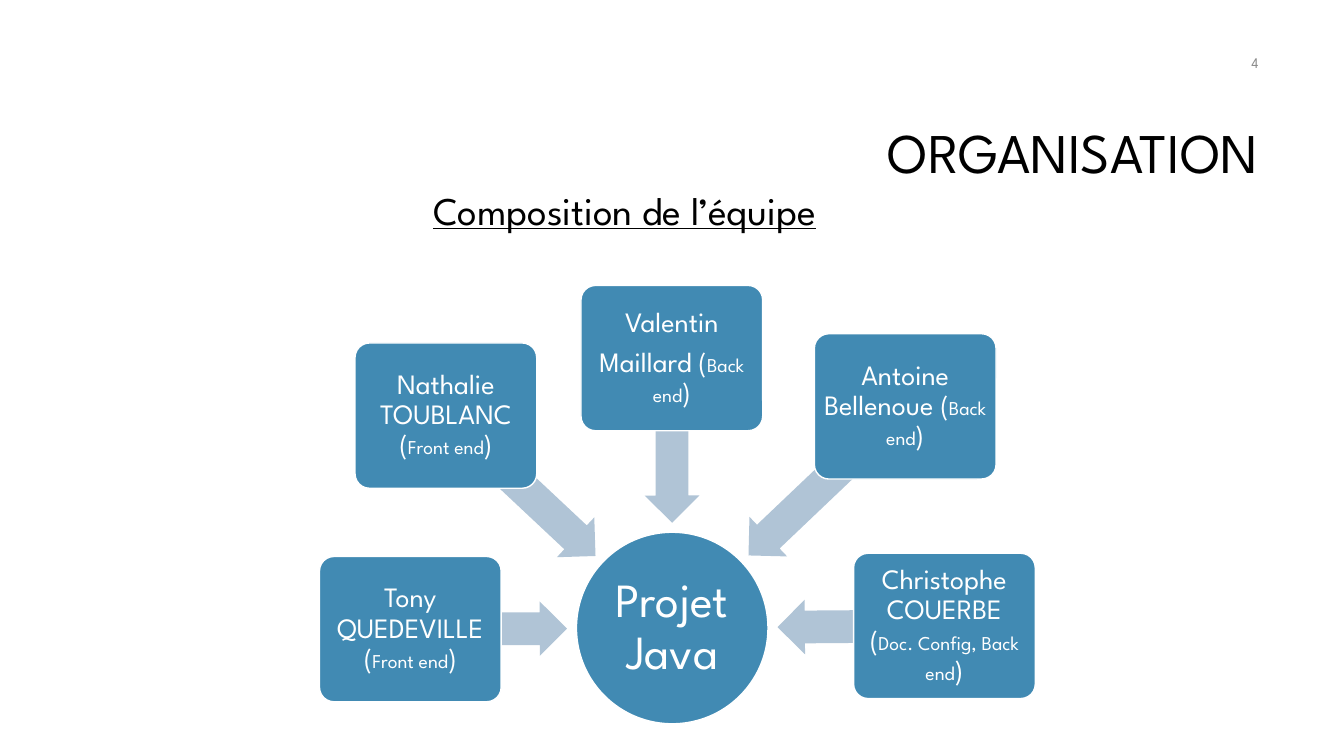
from math import atan2, degrees, hypot

from pptx import Presentation
from pptx.dml.color import RGBColor
from pptx.enum.shapes import MSO_SHAPE
from pptx.enum.text import MSO_ANCHOR, PP_ALIGN
from pptx.util import Pt

ELLIPSE = MSO_SHAPE.OVAL
ROUNDED = MSO_SHAPE.ROUNDED_RECTANGLE
ARROW = MSO_SHAPE.LEFT_ARROW
MIDDLE, TOP = MSO_ANCHOR.MIDDLE, MSO_ANCHOR.TOP
LEFT, CENTER, RIGHT = PP_ALIGN.LEFT, PP_ALIGN.CENTER, PP_ALIGN.RIGHT

FONT = "League Spartan"
COLORS = {"text": "000000", "number": "8C8C8C", "node": "418AB3",
          "arrow": "B0C4D6", "white": "FFFFFF"}

HUB_X, HUB_Y, HUB_SIZE = 480.2, 448.6, 136.8
ARROW_STOP = 75.2  # distance from the hub's centre to each arrow tip
ARROW_WIDTH = 39
CARD_WIDTH, CARD_HEIGHT = 129.8, 103.8
NAME_SIZE, ROLE_SIZE = 20, 14

# Card centre, lines of the name, role
MEMBERS = [
    (674.6, 447.1, ["Christophe COUERBE"], "Doc. Config, Back end"),
    (293.1, 449.4, ["Tony QUEDEVILLE"], "Front end"),
    (479.9, 255.8, ["Valentin", "Maillard"], "Back end"),
    (646.6, 290.3, ["Antoine Bellenoue"], "Back end"),
    (318.5, 296.9, ["Nathalie TOUBLANC"], "Front end"),
]


class SlideBuilder:
    def __init__(self, slide):
        self.slide = slide

    def color(self, name):
        return RGBColor.from_string(COLORS[name])

    def style(self, paragraph, size, color, align):
        paragraph.alignment = align
        paragraph.font.name = FONT
        paragraph.font.size = Pt(size)
        paragraph.font.color.rgb = self.color(color)

    def title(self, text, left, top, width, height):
        shape = self.slide.shapes.title
        shape.left, shape.top = Pt(left), Pt(top)
        shape.width, shape.height = Pt(width), Pt(height)
        shape.text_frame.text = text
        shape.text_frame.vertical_anchor = MIDDLE
        paragraph = shape.text_frame.paragraphs[0]
        paragraph.line_spacing = 0.9
        self.style(paragraph, 40, "text", RIGHT)

    def text(self, text, left, top, width, height, size, color, align, anchor):
        box = self.slide.shapes.add_textbox(Pt(left), Pt(top), Pt(width), Pt(height))
        frame = box.text_frame
        frame.word_wrap = True
        frame.vertical_anchor = anchor
        frame.text = text
        self.style(frame.paragraphs[0], size, color, align)
        return frame.paragraphs[0]

    def centered_shape(self, kind, x, y, width, height, fill):
        shape = self.slide.shapes.add_shape(
            kind, Pt(x - width / 2), Pt(y - height / 2), Pt(width), Pt(height))
        shape.shadow.inherit = False
        shape.fill.solid()
        shape.fill.fore_color.rgb = self.color(fill)
        return shape

    def node(self, kind, x, y, width, height, lines, size, inset, role=None):
        shape = self.centered_shape(kind, x, y, width, height, "node")
        shape.line.color.rgb = self.color("white")
        shape.line.width = Pt(1)
        frame = shape.text_frame
        frame.word_wrap = True
        frame.vertical_anchor = MIDDLE
        frame.margin_left = frame.margin_right = Pt(inset)
        frame.margin_top = frame.margin_bottom = Pt(inset)
        frame.text = "\n".join(lines)
        for paragraph in frame.paragraphs:
            self.style(paragraph, size, "white", CENTER)
            paragraph.line_spacing = 0.9
            paragraph.space_after = Pt(round(size * 0.35))
        if role:
            paragraph = frame.paragraphs[-1]
            for part, part_size in ((" (", size), (role, ROLE_SIZE), (")", size)):
                run = paragraph.add_run()
                run.text = part
                run.font.size = Pt(part_size)
        return shape

    def arrow_to_hub(self, x, y):
        """Draw an arrow from a card's centre that stops short of the hub."""
        dx, dy = x - HUB_X, y - HUB_Y
        distance = hypot(dx, dy)
        middle = (distance + ARROW_STOP) / 2 / distance
        arrow = self.centered_shape(ARROW, HUB_X + dx * middle, HUB_Y + dy * middle,
                                    distance - ARROW_STOP, ARROW_WIDTH, "arrow")
        arrow.line.fill.background()
        arrow.adjustments[0], arrow.adjustments[1] = 0.6, 0.5
        arrow.rotation = degrees(atan2(dy, dx)) % 360


def main():
    presentation = Presentation()
    presentation.slide_width, presentation.slide_height = Pt(960), Pt(540)
    slide = presentation.slides.add_slide(presentation.slide_layouts[5])
    builder = SlideBuilder(slide)

    # Title and slide number
    builder.title("ORGANISATION", 228, 60.5, 678, 101.5)
    builder.text("4", 690, 30, 216, 29, 10.5, "number", RIGHT, MIDDLE)

    # Project hub
    builder.node(ELLIPSE, HUB_X, HUB_Y, HUB_SIZE, HUB_SIZE, ["Projet Java"], 34, 1.5)

    # Team members, each with an arrow behind the card
    for x, y, lines, role in MEMBERS:
        builder.arrow_to_hub(x, y)
        card = builder.node(ROUNDED, x, y, CARD_WIDTH, CARD_HEIGHT,
                            lines, NAME_SIZE, 3, role)
        card.adjustments[0] = 0.1

    # Subtitle
    subtitle = builder.text("Composition de l’équipe", 302.4, 129.6, 355.7, 41,
                            28, "text", LEFT, TOP)
    subtitle.font.underline = True

    presentation.save("out.pptx")


if __name__ == "__main__":
    main()
